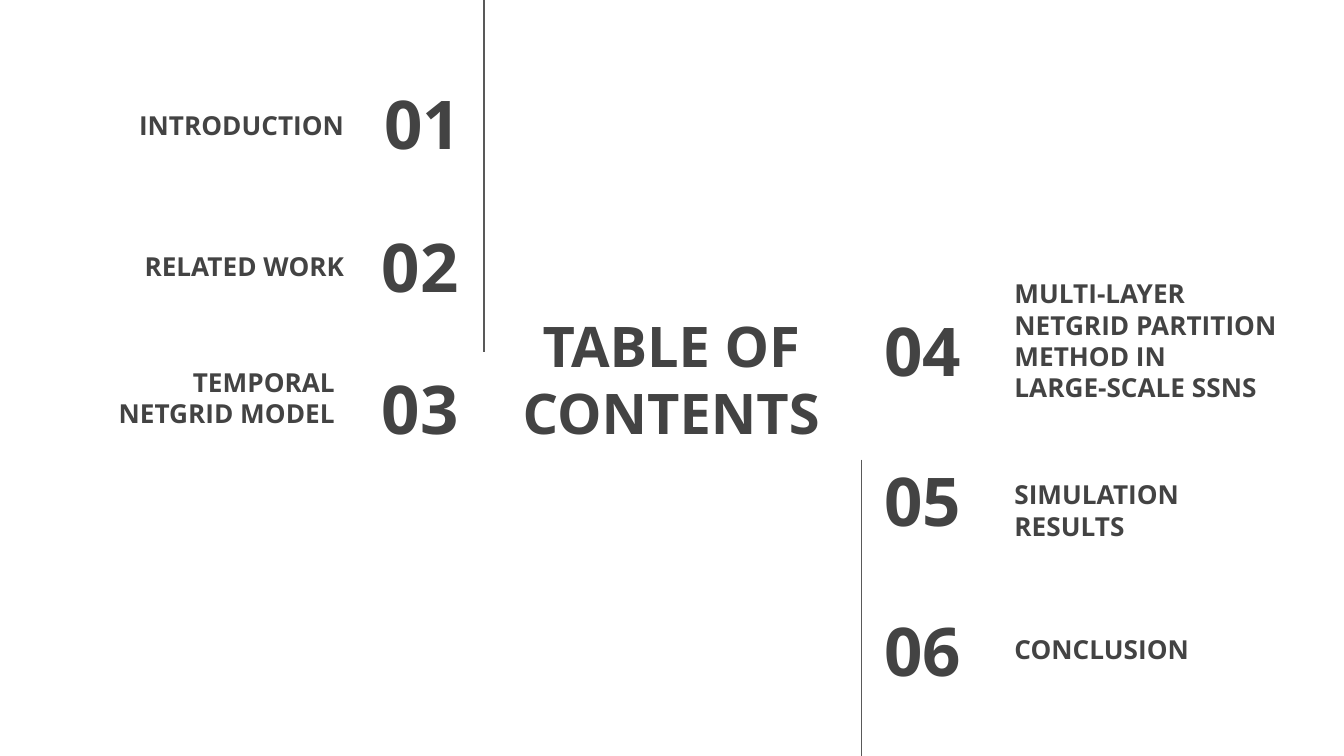
from pptx import Presentation
from pptx.dml.color import RGBColor
from pptx.enum import shapes, text
from pptx.oxml import ns
from pptx.util import Inches, Pt
from lxml import etree

INK = RGBColor(0x43, 0x43, 0x43)
RULE = RGBColor(0x59, 0x59, 0x59)
FONT = "Open Sans"
LEFT, CENTER, RIGHT = text.PP_ALIGN.LEFT, text.PP_ALIGN.CENTER, text.PP_ALIGN.RIGHT
MIDDLE, BOTTOM = text.MSO_ANCHOR.MIDDLE, text.MSO_ANCHOR.BOTTOM
ROW_HEIGHT = 0.63

# Number, label, number position, label position
LEFT_ENTRIES = [
    ("01", "INTRODUCTION", (2.32, 0.6), (0.52, 0.52)),
    ("02", "RELATED WORK", (2.3, 1.66), (0.52, 1.57)),
    ("03", "TEMPORAL NETGRID MODEL", (2.3, 2.72), (0.45, 2.66)),
]
RIGHT_ENTRIES = [
    ("04", "MULTI-LAYER NETGRID PARTITION METHOD IN\nLARGE-SCALE SSNS",
     (6.48, 2.29), (7.45, 2.47)),
    ("05", "SIMULATION RESULTS", (6.48, 3.4), (7.45, 3.5)),
    ("06", "CONCLUSION", (6.48, 4.52), (7.45, 4.42)),
]


def write_text(box, wording, size, align, anchor):
    """Fill a box with one bold paragraph, breaking lines at newlines."""
    frame = box.text_frame
    frame.word_wrap = True
    frame.auto_size = text.MSO_AUTO_SIZE.NONE
    frame.vertical_anchor = anchor
    frame.margin_left = frame.margin_right = Inches(0.1)
    frame.margin_top = frame.margin_bottom = Inches(0.1)
    para = frame.paragraphs[0]
    para.alignment = align
    for index, line in enumerate(wording.split("\n")):
        if index:
            para.add_line_break()
        span = para.add_run()
        span.text = line
        span.font.name = FONT
        span.font.size = Pt(size)
        span.font.bold = True
        span.font.color.rgb = INK


def add_title(page, left, top, width, height):
    """Place the slide title in its placeholder."""
    title = page.shapes.title
    title.left, title.top = Inches(left), Inches(top)
    title.width, title.height = Inches(width), Inches(height)
    write_text(title, "TABLE OF CONTENTS", 30, CENTER, MIDDLE)


def add_text(page, position, width, wording, size, align, anchor):
    """Add a text box one row high."""
    left, top = position
    box = page.shapes.add_textbox(
        Inches(left), Inches(top), Inches(width), Inches(ROW_HEIGHT))
    write_text(box, wording, size, align, anchor)


def add_entries(page, entries, number_width, label_width, align):
    """Add one column of numbered contents entries."""
    for number, label, number_at, label_at in entries:
        add_text(page, number_at, number_width, number, 36, align, MIDDLE)
        add_text(page, label_at, label_width, label, 14, align, BOTTOM)


def add_rule(page, x, top, bottom):
    """Draw a thin vertical rule."""
    rule = page.shapes.add_connector(
        shapes.MSO_CONNECTOR.STRAIGHT,
        Inches(x), Inches(top), Inches(x), Inches(bottom))
    rule.line.color.rgb = RULE
    rule.line.width = Pt(0.75)
    properties = rule._element.find(ns.qn("p:spPr"))
    etree.SubElement(properties, ns.qn("a:effectLst"))


def build_contents(deck):
    """Build the table of contents slide."""
    page = deck.slides.add_slide(deck.slide_layouts.get_by_name("Title Only"))
    add_title(page, 3.7, 2.3, 2.59, 1.03)
    add_entries(page, LEFT_ENTRIES, 1.21, 2.14, RIGHT)
    add_entries(page, RIGHT_ENTRIES, 1.17, 2.17, LEFT)
    add_rule(page, 3.6, 0, 2.62)
    add_rule(page, 6.41, 3.42, 5.64)


deck = Presentation()
deck.slide_width = Inches(10)
deck.slide_height = deck.slide_width * 9 // 16
build_contents(deck)
deck.save("out.pptx")
